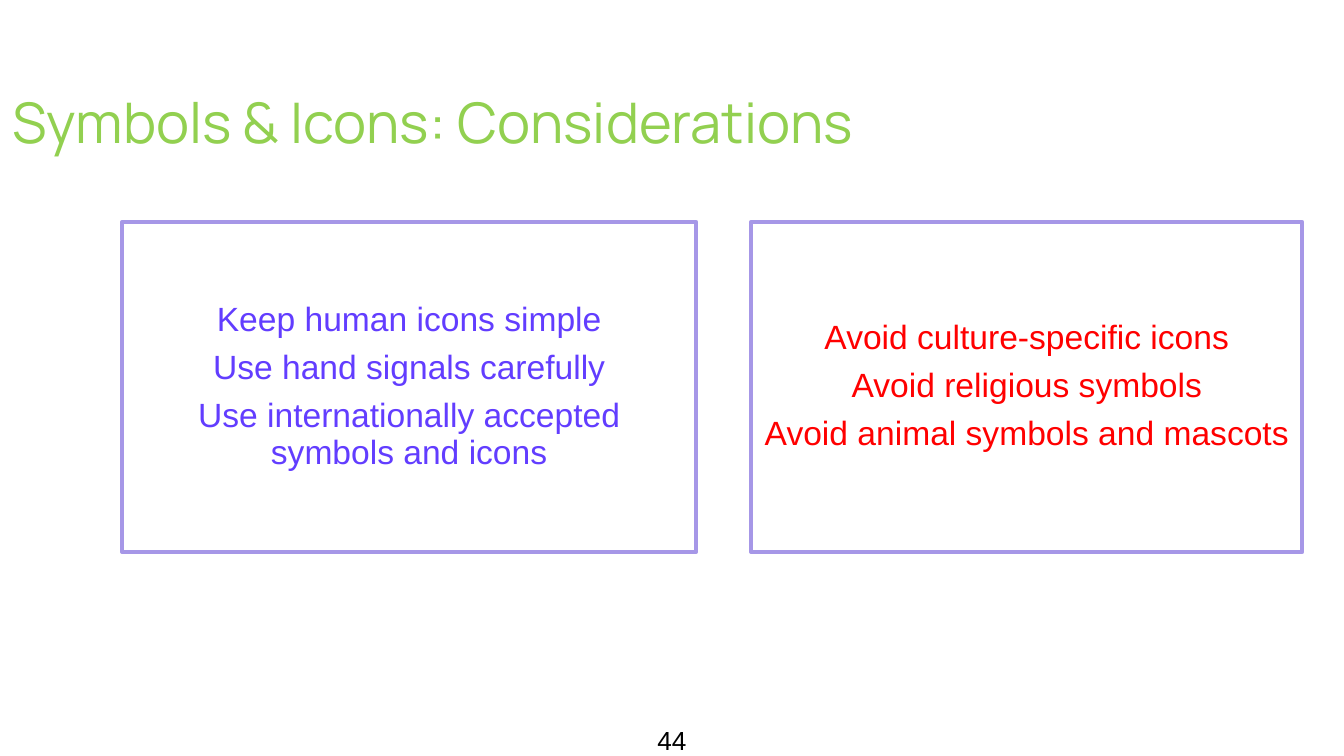
from dataclasses import dataclass

from pptx import Presentation
from pptx.dml.color import RGBColor
from pptx.enum.shapes import MSO_SHAPE
from pptx.enum.text import MSO_ANCHOR, MSO_AUTO_SIZE, PP_ALIGN
from pptx.slide import Slide
from pptx.text.text import TextFrame, _Paragraph as Paragraph
from pptx.util import Inches, Pt


@dataclass(frozen=True)
class TextStyle:
    font: str
    size: float
    color: str


@dataclass(frozen=True)
class Theme:
    title: TextStyle = TextStyle("Manrope", 30, "92D050")
    advice: TextStyle = TextStyle("Arial", 18, "623DFF")
    warning: TextStyle = TextStyle("Arial", 18, "FF0000")
    page_number: TextStyle = TextStyle("Arial", 14, "000000")
    card_fill: str = "FFFFFF"
    card_line: str = "A697E7"


@dataclass(frozen=True)
class Card:
    left: float
    width: float
    style: TextStyle
    lines: tuple[str, ...]


THEME = Theme()
CARD_TOP = 1.65
CARD_HEIGHT = 2.46
CARDS = (
    Card(0.91, 4.27, THEME.advice, (
        "Keep human icons simple",
        "Use hand signals carefully",
        "Use internationally accepted symbols and icons",
    )),
    Card(5.59, 4.1, THEME.warning, (
        "Avoid culture-specific icons",
        "Avoid religious symbols",
        "Avoid animal symbols and mascots",
    )),
)


def set_frame(frame: TextFrame, inset: float, anchor: MSO_ANCHOR) -> None:
    frame.word_wrap = True
    frame.auto_size = MSO_AUTO_SIZE.NONE
    frame.vertical_anchor = anchor
    frame.margin_left = frame.margin_right = Inches(inset)
    frame.margin_top = frame.margin_bottom = Inches(inset)


def add_text(paragraph: Paragraph, text: str, style: TextStyle, align: PP_ALIGN) -> None:
    paragraph.alignment = align
    run = paragraph.add_run()
    run.text = text
    run.font.name = style.font
    run.font.size = Pt(style.size)
    run.font.color.rgb = RGBColor.from_string(style.color)


def add_title(slide: Slide, text: str) -> None:
    title = slide.shapes.title
    title.left, title.top = Inches(-0.01), Inches(0.55)
    title.width, title.height = Inches(10.01), Inches(0.94)
    set_frame(title.text_frame, 0.1, MSO_ANCHOR.TOP)
    add_text(title.text_frame.paragraphs[0], text, THEME.title, PP_ALIGN.LEFT)


def add_page_number(slide: Slide, text: str) -> None:
    box = slide.shapes.add_textbox(Inches(4.7), Inches(5.29), Inches(0.6), Inches(0.34))
    set_frame(box.text_frame, 0.1, MSO_ANCHOR.TOP)
    add_text(box.text_frame.paragraphs[0], text, THEME.page_number, PP_ALIGN.CENTER)


def add_card(slide: Slide, card: Card) -> None:
    shape = slide.shapes.add_shape(
        MSO_SHAPE.RECTANGLE,
        Inches(card.left), Inches(CARD_TOP), Inches(card.width), Inches(CARD_HEIGHT),
    )
    shape.shadow.inherit = False
    shape.fill.solid()
    shape.fill.fore_color.rgb = RGBColor.from_string(THEME.card_fill)
    shape.line.color.rgb = RGBColor.from_string(THEME.card_line)
    shape.line.width = Pt(2)
    frame = shape.text_frame
    set_frame(frame, 0.08, MSO_ANCHOR.MIDDLE)
    for index, line in enumerate(card.lines):
        paragraph = frame.add_paragraph() if index else frame.paragraphs[0]
        paragraph.line_spacing = 0.9
        paragraph.space_after = Pt(0.35 * card.style.size)
        add_text(paragraph, line, card.style, PP_ALIGN.CENTER)


def main() -> None:
    presentation = Presentation()
    presentation.slide_width = Inches(10)
    presentation.slide_height = Inches(10 * 9 / 16)
    slide = presentation.slides.add_slide(presentation.slide_layouts[5])
    add_title(slide, "Symbols & Icons: Considerations")
    add_page_number(slide, "44")
    for card in CARDS:
        add_card(slide, card)
    presentation.save("out.pptx")


if __name__ == "__main__":
    main()
